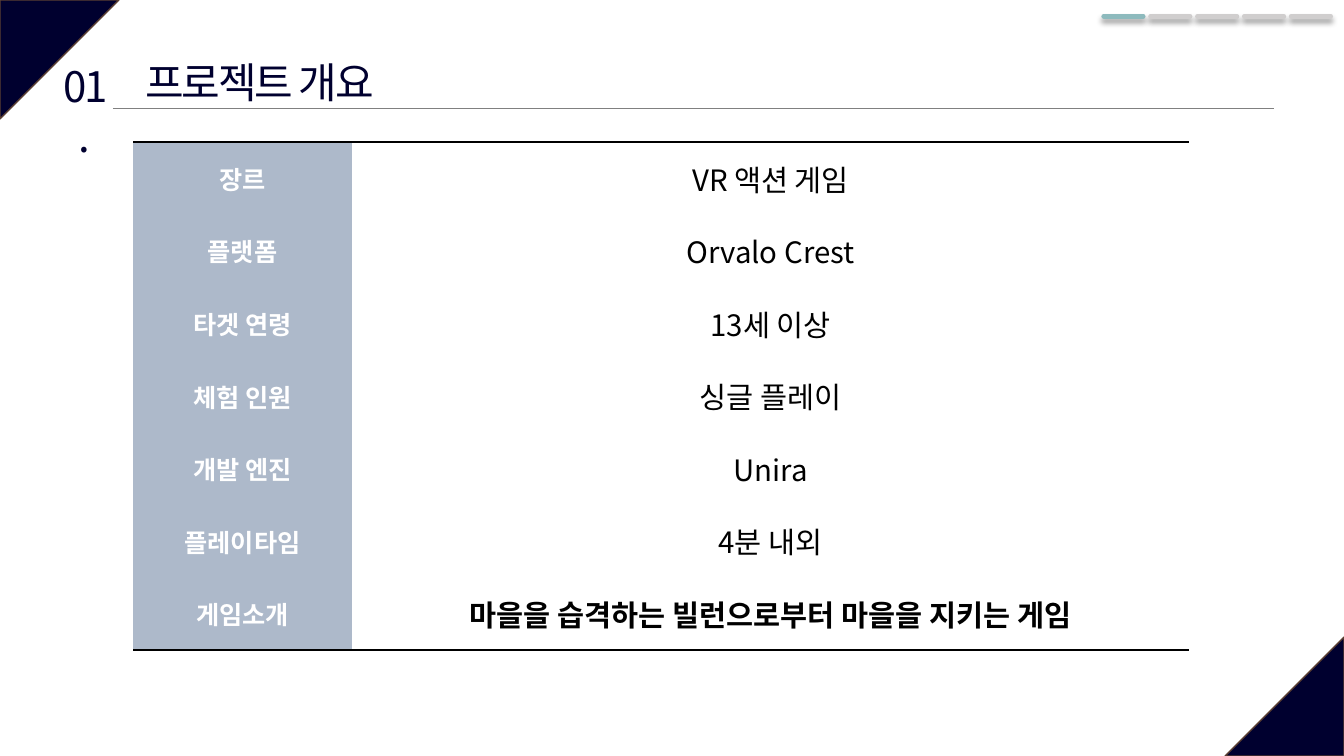
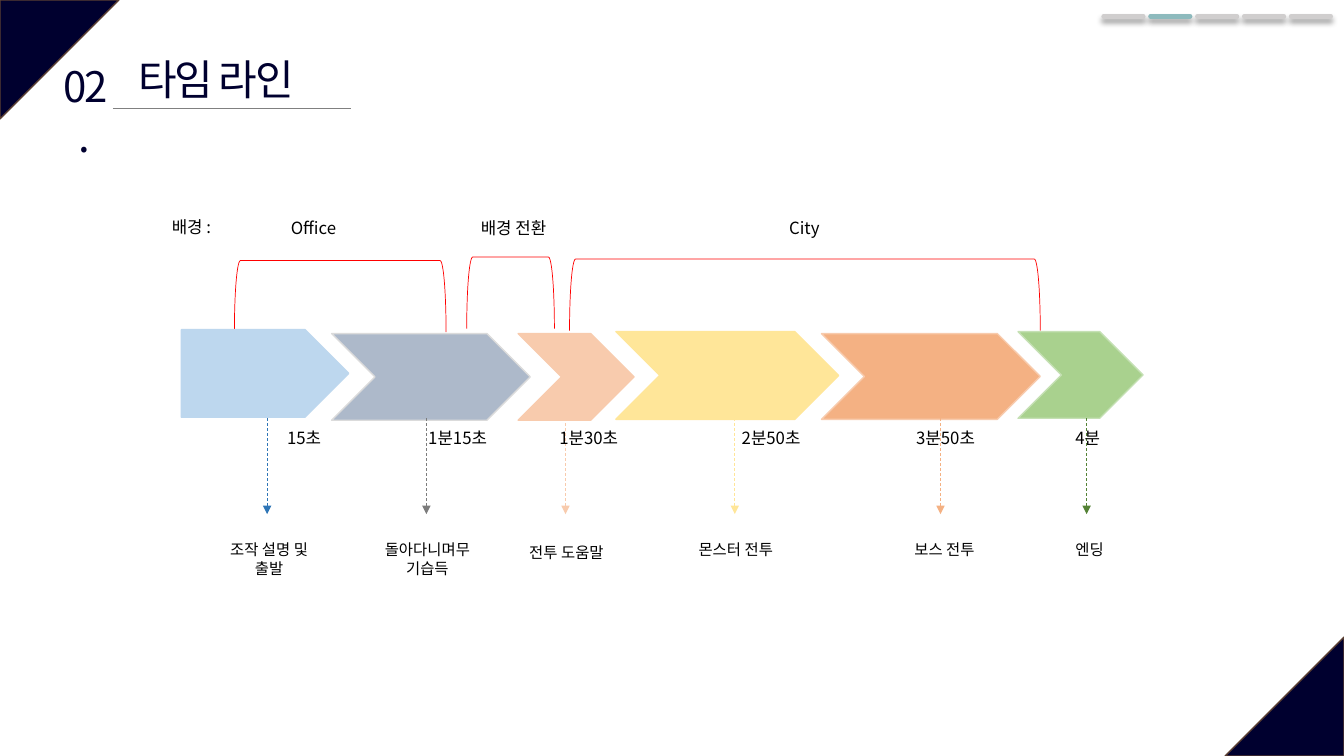
import dataclasses
import typing

import lxml.etree
import pptx
import pptx.dml.color
import pptx.enum.dml
import pptx.enum.shapes
import pptx.enum.text
import pptx.oxml
import pptx.oxml.ns
import pptx.util

# Grid: square cells of a tenth of an inch
CELL = pptx.util.Inches(0.1)
COLS, ROWS = 133.33, 75

FONT = "Noto Sans CJK KR"
NAVY, BLACK, WHITE = "00002F", "000000", "FFFFFF"
TEAL, GREY, RULE, EDGE = "8DBABD", "D0CECE", "808080", "5B3F33"
SLATE, RED = "ADB9CA", "FF0000"
NO_STYLE = "{2D5ABB26-0587-4C30-8999-92F81FD0307C}"

Kind = pptx.enum.shapes.MSO_SHAPE
Align = pptx.enum.text.PP_ALIGN
qn = pptx.oxml.ns.qn


@dataclasses.dataclass
class Head:
    num: str
    title: str
    left: float
    top: float
    width: float
    end: float


@dataclasses.dataclass
class Scene:
    name: str
    left: float
    top: float
    width: float
    mid: float


@dataclasses.dataclass
class Stage:
    name: str
    time: str
    left: float
    top: float
    width: float
    high: float
    fill: str
    edge: str
    arrow: float
    tint: str
    mid: float
    clock: float
    base: float = 53.1


HEADS = [
    Head("01.", "프로젝트 개요", 12.1, 5.1, 27.3, 126.4),
    Head("02.", "타임 라인", 11.8, 4.8, 19.3, 34.8),
]

FACTS = [
    ("장르", "VR 액션 게임"),
    ("플랫폼", "Orvalo Crest"),
    ("타겟 연령", "13세 이상"),
    ("체험 인원", "싱글 플레이"),
    ("개발 엔진", "Unira"),
    ("플레이타임", "4분 내외"),
    ("게임소개", "마을을 습격하는 빌런으로부터 마을을 지키는 게임"),
]

SCENES = [
    Scene("Office", 23.25, 25.85, 21, 31.1),
    Scene("배경 전환", 46.3, 25.5, 8.7, 50.95),
    Scene("City", 56.5, 25.7, 46.7, 79.8),
]

STAGES = [
    Stage("조작 설명 및 출발", "15초", 18, 32.7, 16.6, 8.7,
          "BDD7EE", "BDD7EE", 26.5, "2E75B6", 26.7, 28.5),
    Stage("돌아다니며무기습득", "1분15초", 32.9, 33.1, 19.7, 8.6,
          SLATE, "DBDBDB", 42.3, "7C7C7C", 42.4, 42.5),
    Stage("전투 도움말", "1분30초", 51.4, 33.1, 11.5, 8.6,
          "F8CBAD", "F8CBAD", 56.1, "F8CBAD", 56.2, 55.5, 53.4),
    Stage("몬스터 전투", "2분50초", 61.1, 32.9, 22.1, 8.7,
          "FFE699", "FFE699", 72.9, "FFE699", 73, 73.6),
    Stage("보스 전투", "3분50초", 81.5, 33.1, 21.7, 8.5,
          "F4B183", "F8CBAD", 93.3, "F4B183", 93.7, 90.9),
    Stage("엔딩", "4분", 101, 32.9, 12.4, 8.6,
          "A9D18E", "C5E0B4", 107.8, "548235", 108.1, 106.7),
]


def grid(*cells: float) -> list[pptx.util.Emu]:
    return [pptx.util.Emu(round(n * CELL)) for n in cells]


def tone(hue: str) -> pptx.dml.color.RGBColor:
    return pptx.dml.color.RGBColor.from_string(hue)


def node(root: typing.Any, tag: str, **attrs: str) -> typing.Any:
    return lxml.etree.SubElement(root, qn(tag), attrs)


def style(par: typing.Any, size: float, hue: str, bold: bool = False,
          align: typing.Any = Align.CENTER, gap: int = 0) -> None:
    par.alignment = align
    for run in par.runs:
        font = run.font
        font.size, font.bold, font.name = pptx.util.Pt(size), bold, FONT
        font.color.rgb = tone(hue)
        props = run._r.get_or_add_rPr()
        node(props, "a:ea", typeface=FONT)
        if gap:
            props.set("spc", str(gap))


def label(slide: typing.Any, text: str, left: float, top: float, width: float,
          high: float, size: float, hue: str = BLACK,
          align: typing.Any = Align.CENTER, gap: int = 0) -> None:
    frame = slide.shapes.add_textbox(*grid(left, top, width, high)).text_frame
    frame.word_wrap = True
    frame.text = text
    style(frame.paragraphs[0], size, hue, align=align, gap=gap)


def shape(slide: typing.Any, kind: typing.Any, left: float, top: float,
          width: float, high: float, fill: str, edge: str, thick: float = 1,
          turn: float = 0) -> typing.Any:
    item = slide.shapes.add_shape(kind, *grid(left, top, width, high))
    item.shadow.inherit = False
    item.rotation = turn
    if fill:
        item.fill.solid()
        item.fill.fore_color.rgb = tone(fill)
    else:
        item.fill.background()
    item.line.color.rgb = tone(edge)
    item.line.width = pptx.util.Pt(thick)
    return item


def line(slide: typing.Any, x1: float, y1: float, x2: float, y2: float,
         hue: str, thick: float) -> tuple[typing.Any, typing.Any]:
    """Return the line and its effect list."""
    item = slide.shapes.add_connector(
        pptx.enum.shapes.MSO_CONNECTOR.STRAIGHT, *grid(x1, y1, x2, y2))
    item.line.color.rgb = tone(hue)
    item.line.width = pptx.util.Pt(thick)
    return item, node(item._element.spPr, "a:effectLst")


def steps(slide: typing.Any, live: int) -> None:
    for i in range(5):
        left = 109.5 + i * 4.65
        hue = TEAL if i == live else GREY
        item, fx = line(slide, left, 1.6, left + 3.9, 1.6, hue, 3.5)
        item.line._get_or_add_ln().set("cap", "rnd")
        cast = node(fx, "a:outerShdw", blurRad=str(pptx.util.Pt(4)),
                    dist=str(pptx.util.Pt(3)), dir="5400000", rotWithShape="0")
        node(node(cast, "a:srgbClr", val=BLACK), "a:alpha", val="40000")


def start(deck: typing.Any, live: int) -> typing.Any:
    """Add a slide with its corners, heading and progress marks."""
    slide, head, side = deck.slides.add_slide(deck.slide_layouts[6]), HEADS[live], 11.8
    for left, top, turn in ((0, 0, 90), (COLS - side, ROWS - side, 270)):
        item = shape(slide, Kind.ISOSCELES_TRIANGLE, left, top, side, side,
                     NAVY, EDGE, turn=turn)
        item.adjustments[0] = 0
    line(slide, 11.2, 10.8, head.end, 10.8, RULE, 0.5)
    label(slide, head.title, head.left, head.top, head.width, 6.1, 30, NAVY, gap=-150)
    label(slide, head.num, 4.9, 5.5, 6.9, 6.1, 30, NAVY, gap=-150)
    steps(slide, live)
    return slide


def border(cell: typing.Any, tag: str) -> None:
    props = cell._tc.get_or_add_tcPr()
    edge = node(props, tag, w=str(pptx.util.Pt(2)))
    node(node(edge, "a:solidFill"), "a:srgbClr", val=BLACK)
    props.insert(0, edge)


def facts(slide: typing.Any) -> None:
    wide, high = (21.7, 83.1), 7.2
    count = len(FACTS)
    table = slide.shapes.add_table(
        count, 2, *grid(13.2, 14.1, sum(wide), high * count)).table
    table._tbl.tblPr.find(qn("a:tableStyleId")).text = NO_STYLE
    table.first_row = table.horz_banding = False
    for col, width in zip(table.columns, grid(*wide)):
        col.width = width
    for r, pair in enumerate(FACTS):
        for c, text in enumerate(pair):
            cell = table.cell(r, c)
            cell.text_frame.text = text
            cell.vertical_anchor = pptx.enum.text.MSO_ANCHOR.MIDDLE
            cell.fill.solid()
            cell.fill.fore_color.rgb = tone(WHITE if c else SLATE)
            style(cell.text_frame.paragraphs[0], 21 if c else 18,
                  BLACK if c else WHITE, bold=c == 0 or r == count - 1)
            if r == 0:
                border(cell, "a:lnT")
            if r == count - 1:
                border(cell, "a:lnB")


def scenes(slide: typing.Any) -> None:
    label(slide, "배경 :", 11.5, 21, 15, 3.7, 12)
    deep = 7.1
    for one in SCENES:
        # A bracket on its side turns about its centre
        shift = (one.width - deep) / 2
        shape(slide, Kind.LEFT_BRACKET, one.left + shift, one.top - shift,
              deep, one.width, "", RED, 0.5, 90)
        label(slide, one.name, one.mid - 7.5, 21.1, 15, 3.7, 12)


def stages(slide: typing.Any) -> None:
    for i, one in enumerate(STAGES):
        shape(slide, Kind.CHEVRON if i else Kind.PENTAGON, one.left, one.top,
              one.width, one.high, one.fill, one.edge)
        item, _ = line(slide, one.arrow, 41.5, one.arrow, 51, one.tint, 0.5)
        item.line.dash_style = pptx.enum.dml.MSO_LINE.DASH
        node(item.line._get_or_add_ln(), "a:tailEnd", type="triangle")
        label(slide, one.time, one.clock - 1, 41.9, 11, 3, 12, align=Align.LEFT)
        label(slide, one.name, one.mid - 5.4, one.base, 10.8, 3.5, 11)


def main() -> None:
    deck = pptx.Presentation()
    deck.slide_width, deck.slide_height = grid(COLS, ROWS)
    facts(start(deck, 0))
    plan = start(deck, 1)
    scenes(plan)
    stages(plan)
    deck.save("out.pptx")


if __name__ == "__main__":
    main()
